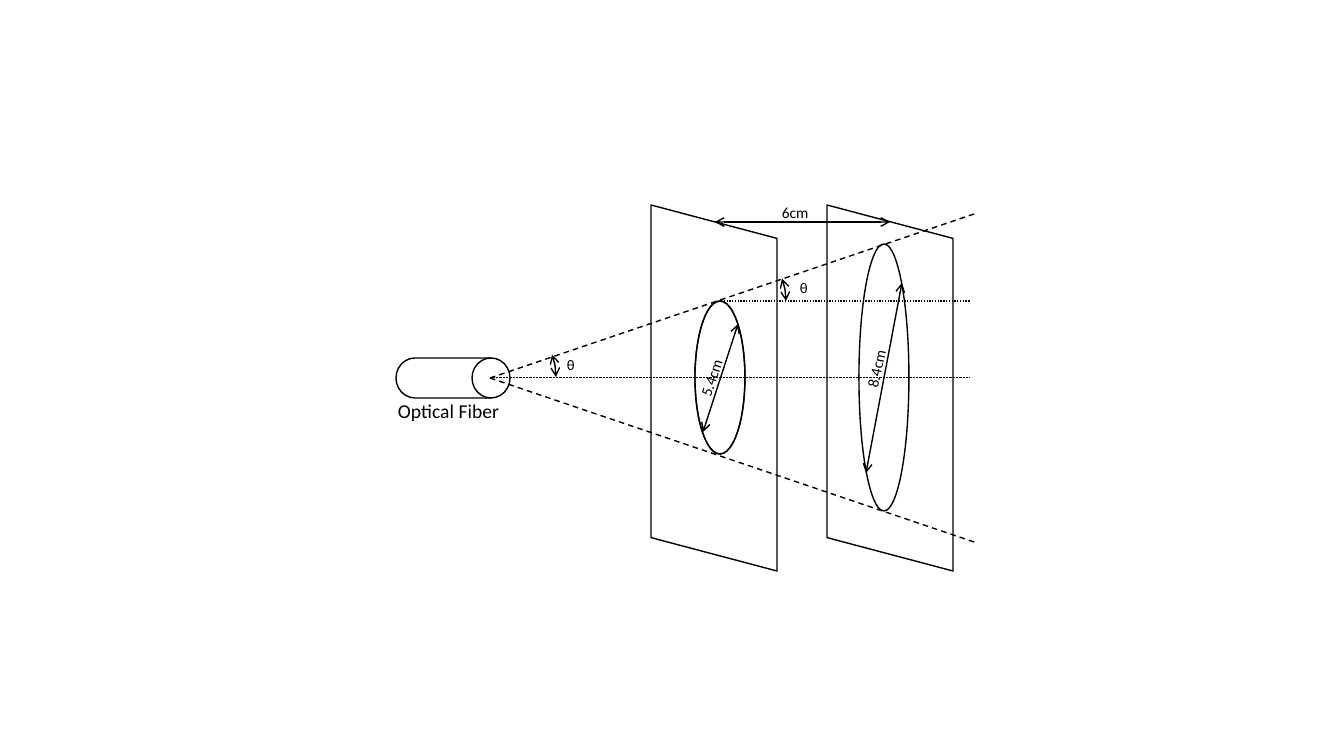
from dataclasses import dataclass
from typing import Optional

from pptx import Presentation
from pptx import util as u
from pptx.dml import color
from pptx.enum import dml, shapes, text
from pptx.oxml import ns
from lxml import etree

SCALE = 914400 / 100.8
INK = "000000"
FONT = "Calibri"
DASH = dml.MSO_LINE.DASH
DOT = dml.MSO_LINE.ROUND_DOT
PRESET = shapes.MSO_SHAPE
APEX_X, APEX_Y = 490, 378
CONE_X, CONE_RISE = 977, 165
ARC_SIZE, ARC_START = 132, 204.14


@dataclass
class Outline:
    preset: shapes.MSO_SHAPE
    left: int
    top: int
    width: int
    height: int
    rotation: float = 0
    adjustments: tuple[float, ...] = ()
    arrows: bool = False


@dataclass
class Ray:
    start_x: int
    start_y: int
    end_x: int
    end_y: int
    dash: Optional[dml.MSO_LINE] = None
    weight: float = 1
    arrows: bool = False


@dataclass
class Label:
    wording: str
    left: int
    top: int
    width: int
    height: int = 29
    size: float = 11
    rotation: float = 0


def px(pixels: int) -> u.Emu:
    return u.Emu(round(pixels * SCALE))


def rgb(code: str) -> color.RGBColor:
    return color.RGBColor.from_string(code)


def style_line(shape, weight: float, arrows: bool, dash=None) -> None:
    shape.line.color.rgb = rgb(INK)
    shape.line.width = u.Pt(weight)
    if dash is not None:
        shape.line.dash_style = dash
    if arrows:
        line = shape.element.spPr.find(ns.qn("a:ln"))
        for end in ("a:headEnd", "a:tailEnd"):
            etree.SubElement(line, ns.qn(end)).set("type", "arrow")


def draw_outline(slide, outline: Outline) -> None:
    shape = slide.shapes.add_shape(
        outline.preset, px(outline.left), px(outline.top),
        px(outline.width), px(outline.height))
    shape.rotation = outline.rotation
    for index, value in enumerate(outline.adjustments):
        shape.adjustments[index] = value
    shape.shadow.inherit = False
    shape.fill.background()
    style_line(shape, 1, outline.arrows)


def draw_ray(slide, ray: Ray) -> None:
    connector = slide.shapes.add_connector(
        shapes.MSO_CONNECTOR.STRAIGHT, px(ray.start_x), px(ray.start_y),
        px(ray.end_x), px(ray.end_y))
    style_line(connector, ray.weight, ray.arrows, ray.dash)
    etree.SubElement(connector.element.spPr, ns.qn("a:effectLst"))


def draw_label(slide, label: Label) -> None:
    box = slide.shapes.add_textbox(
        px(label.left), px(label.top), px(label.width), px(label.height))
    box.rotation = label.rotation
    frame = box.text_frame
    frame.text = label.wording
    frame.word_wrap = False
    frame.auto_size = text.MSO_AUTO_SIZE.SHAPE_TO_FIT_TEXT
    font = frame.paragraphs[0].runs[0].font
    font.name = FONT
    font.size = u.Pt(label.size)
    font.color.rgb = rgb(INK)


def screen(left: int) -> Outline:
    return Outline(PRESET.PARALLELOGRAM, left, 325, 366, 126, 270, (0.265,))


def angle_arc(left: int, top: int) -> Outline:
    return Outline(PRESET.ARC, left, top, ARC_SIZE, ARC_SIZE,
                   adjustments=(ARC_START, 0), arrows=True)


NEAR_SPOT = Outline(PRESET.OVAL, 695, 301, 50, 153)

PARTS = [
    Ray(APEX_X, APEX_Y, CONE_X, APEX_Y - CONE_RISE, DASH),
    Ray(APEX_X, APEX_Y, CONE_X, APEX_Y + CONE_RISE, DASH),
    Outline(PRESET.OVAL, 859, 244, 50, 267),
    screen(531),
    screen(707),
    NEAR_SPOT,
    Outline(PRESET.FLOWCHART_DIRECT_ACCESS_STORAGE, 396, 358, 114, 40),
    Label("Optical Fiber", 388, 394, 123, 34, 14),
    Ray(738, 324, 703, 432, arrows=True),
    Ray(902, 283, 866, 473, arrows=True),
    NEAR_SPOT,
    Label("5.4cm", 682, 363, 59, rotation=288),
    Label("8.4cm", 847, 354, 59, rotation=282.37),
    Ray(715, 222, 890, 222, arrows=True),
    Label("6cm", 772, 198, 47),
    Ray(APEX_X, 377, 970, 377, DOT, 0.5),
    Ray(721, 301, 970, 301, DOT),
    angle_arc(654, 235),
    Label("θ", 790, 274, 28, size=10.5),
    angle_arc(424, 311),
    Label("θ", 557, 351, 28, size=10.5),
]

DRAWERS = {Outline: draw_outline, Ray: draw_ray, Label: draw_label}


def main() -> None:
    presentation = Presentation()
    presentation.slide_width = px(1344)
    presentation.slide_height = px(756)
    slide = presentation.slides.add_slide(presentation.slide_layouts[6])
    for part in PARTS:
        DRAWERS[type(part)](slide, part)
    presentation.save("out.pptx")


main()
